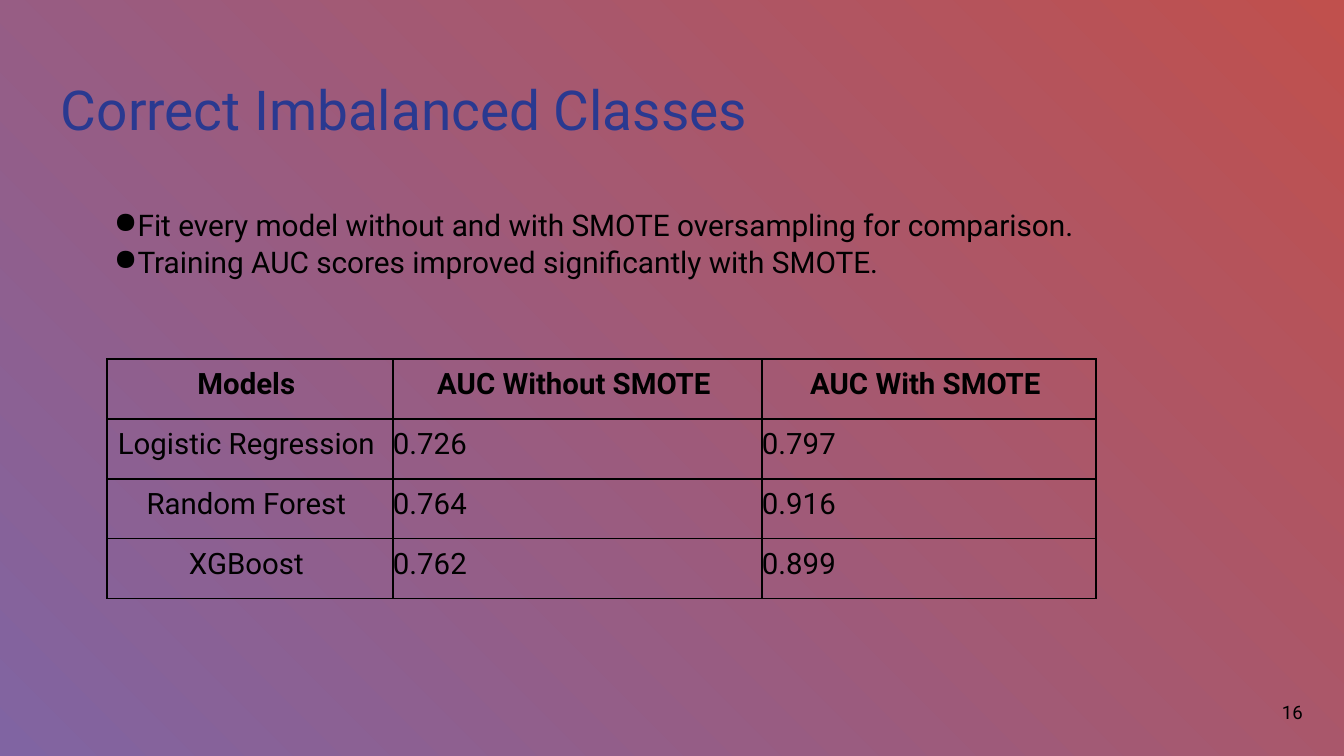
from lxml import etree
from pptx import Presentation
from pptx import util as u
from pptx.dml.color import RGBColor
from pptx.enum import text
from pptx.oxml.ns import qn

FONT = "Roboto"
BLACK = "000000"
RESULTS = [
    ("Models ", "AUC Without SMOTE ", "AUC With SMOTE "),
    ("Logistic Regression ", "0.726", "0.797"),
    ("Random Forest ", "0.764", "0.916"),
    ("XGBoost ", "0.762", "0.899"),
]


def px(length):
    """Turn slide pixels into EMU."""
    return u.Emu(round(length * 12192000 / 1344))


def colour(value):
    """Turn a hex string into a colour."""
    return RGBColor.from_string(value)


def paint_background(page, start, end):
    """Fill the page with a gradient from top right to bottom left."""
    fill = page.background.fill
    fill.gradient()
    fill.gradient_angle = 225
    for stop, position, value in zip(fill.gradient_stops, (0, 1), (start, end)):
        stop.position = position
        stop.color.rgb = colour(value)


def write(para, words, size, line, value=BLACK, bold=False, before=0, after=0):
    """Put one styled run into a paragraph with exact line spacing."""
    para.line_spacing = u.Pt(line)
    para.space_before = u.Pt(before)
    para.space_after = u.Pt(after)
    span = para.add_run()
    span.text = words
    span.font.name = FONT
    span.font.size = u.Pt(size)
    span.font.bold = bold
    span.font.color.rgb = colour(value)


def add_box(page, left, top, width, height, inset):
    """Add a wrapping text box and return its text frame."""
    box = page.shapes.add_textbox(px(left), px(top), px(width), px(height))
    frame = box.text_frame
    frame.word_wrap = True
    frame.margin_left = frame.margin_right = frame.margin_bottom = 0
    frame.margin_top = px(inset)
    return frame


def add_bullet(para, indent):
    """Give a paragraph a round bullet and a first-line indent."""
    props = para._p.get_or_add_pPr()
    props.set("marL", "0")
    props.set("indent", str(px(indent)))
    etree.SubElement(props, qn("a:buChar")).set("char", "●")


def add_borders(cell, value, width):
    """Draw a solid line on all four sides of a cell."""
    props = cell._tc.get_or_add_tcPr()
    for side in ("lnL", "lnR", "lnT", "lnB"):
        line = etree.SubElement(props, qn(f"a:{side}"), w=str(u.Pt(width)))
        fill = etree.SubElement(line, qn("a:solidFill"))
        etree.SubElement(fill, qn("a:srgbClr"), val=value)


def add_results(page, left, top, widths, row_height):
    """Add the table of AUC scores."""
    size = px(sum(widths)), px(row_height * len(RESULTS))
    table = page.shapes.add_table(len(RESULTS), len(widths), px(left), px(top), *size).table
    table.first_row = table.horz_banding = False
    for column, width in zip(table.columns, widths):
        column.width = px(width)
    for r, row in enumerate(RESULTS):
        table.rows[r].height = px(row_height)
        for c, words in enumerate(row):
            cell = table.cell(r, c)
            add_borders(cell, BLACK, 0.95)
            cell.fill.background()
            cell.margin_left = cell.margin_right = cell.margin_top = cell.margin_bottom = 0
            cell.vertical_anchor = text.MSO_ANCHOR.MIDDLE
            para = cell.text_frame.paragraphs[0]
            centred = r == 0 or c == 0
            para.alignment = text.PP_ALIGN.CENTER if centred else text.PP_ALIGN.LEFT
            write(para, words, 21, 18, bold=r == 0, before=9.1, after=5)


def main():
    """Build the slide and save it."""
    deck = Presentation()
    deck.slide_width, deck.slide_height = px(1344), px(756)
    page = deck.slides.add_slide(deck.slide_layouts[6])
    paint_background(page, "C0504D", "8064A2")

    title = add_box(page, 61, 73, 1041, 112, 3)
    write(title.paragraphs[0], "Correct Imbalanced Classes", 39.3, 46.6, "2A3990")

    points = add_box(page, 61, 184, 1041, 172, 25)
    first, second = points.paragraphs[0], points.add_paragraph()
    write(first, "Fit every model without and with SMOTE oversampling for comparison.", 21.3, 24)
    write(second, "Training AUC scores improved significantly with SMOTE.", 21.3, 24, before=2.3)
    for para in (first, second):
        add_bullet(para, 53)

    add_results(page, 107, 359, (286, 369, 334), 60)

    number = add_box(page, 1282, 702, 37, 22, 1)
    write(number.paragraphs[0], "16", 13.3, 14.7)
    deck.save("out.pptx")


if __name__ == "__main__":
    main()
